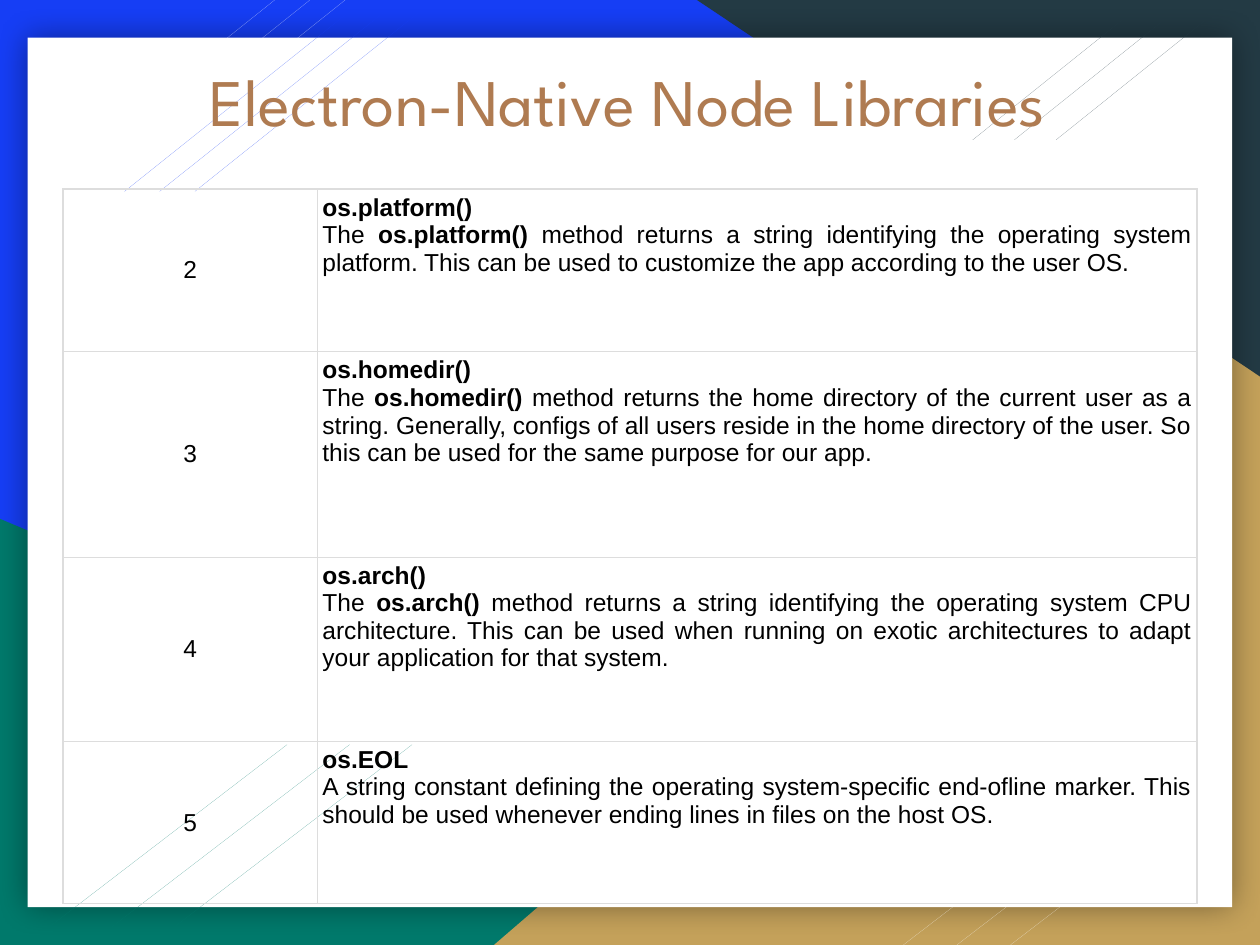
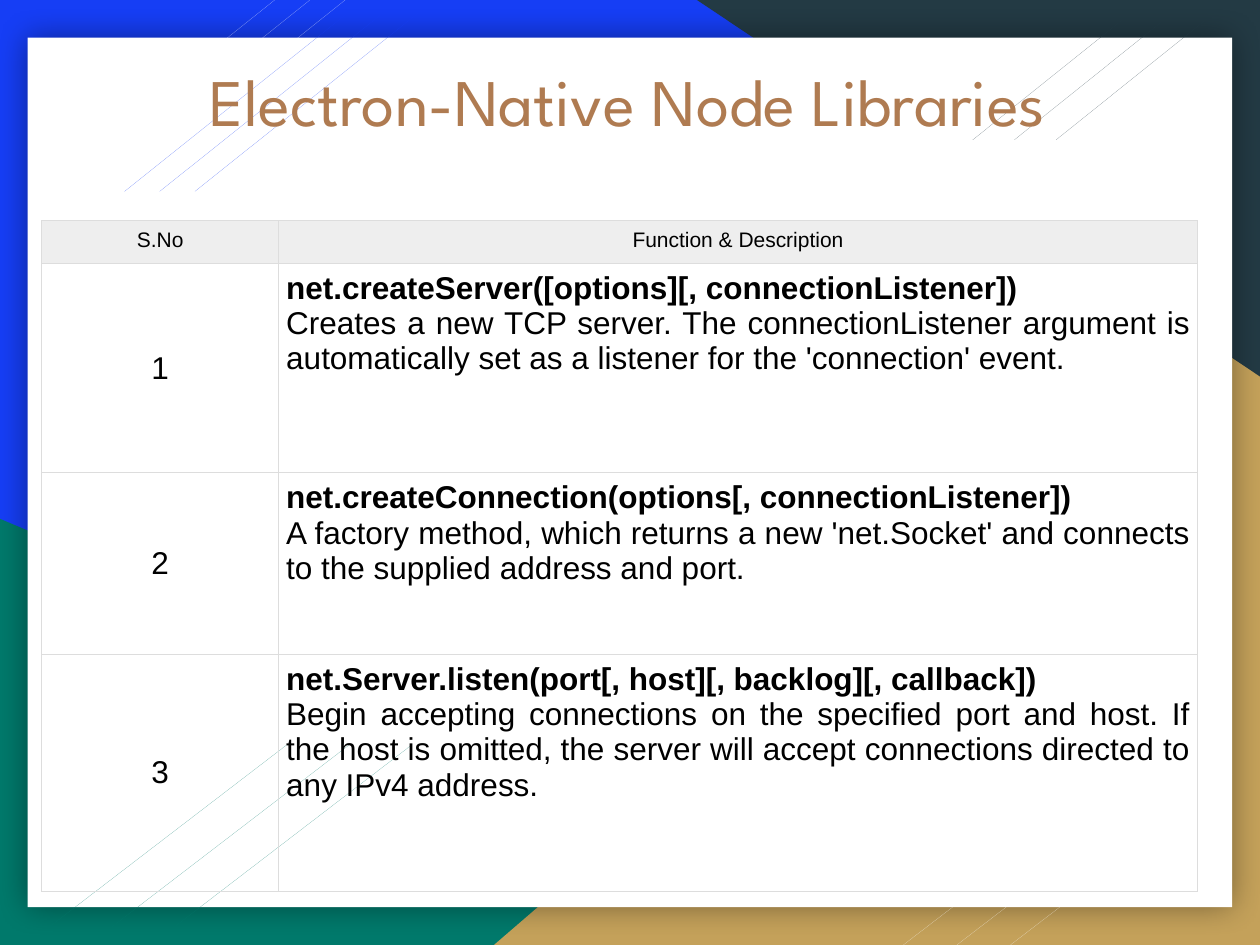
import pptx
import pptx.util
import pptx.dml.color
import pptx.enum.shapes
import pptx.enum.text
import pptx.oxml
import pptx.oxml.ns

Cm = pptx.util.Cm
Pt = pptx.util.Pt
RGBColor = pptx.dml.color.RGBColor
SHAPE = pptx.enum.shapes.MSO_SHAPE
ALIGN = pptx.enum.text.PP_ALIGN
ANCHOR = pptx.enum.text.MSO_ANCHOR

COLORS = {
    "blue": "163EF5", "green": "00796B", "gold": "C4A15A", "slate": "233A44",
    "white": "FFFFFF", "title": "AF7B51", "text": "000000",
    "border": "DDDDDD", "header": "EEEEEE",
}
TITLE = " Electron-Native Node Libraries"

# preset, left, top, width, height, colour, rotation, flipped
BACKDROP = [
    (SHAPE.RIGHT_TRIANGLE, 0, 10.46, 20.47, 8.59, "green", 0, False),
    (SHAPE.RIGHT_TRIANGLE, 9.96, 5.74, 15.44, 13.31, "gold", 0, True),
    (SHAPE.RIGHT_TRIANGLE, 14.05, 0, 11.35, 7.59, "slate", 180, False),
    (SHAPE.RECTANGLE, 0.56, 0.76, 24.28, 17.53, "white", 0, False),
]
# Each hatch is three fully slanted parallelograms:
# left, step, top, width, height, colour
HATCHES = [
    (0.71, 0.71, 0, 4.83, 3.86, "white"),
    (2.51, 0.71, 0, 4.83, 3.86, "blue"),
    (19.61, 0.84, 0.03, 3.48, 2.79, "slate"),
    (18.21, 1.08, 15.62, 4.47, 3.43, "white"),
    (0.56, 1.26, 15.01, 5.23, 4.01, "green"),
]
for left, step, top, width, height, color in HATCHES:
    for index in (2, 1, 0):
        BACKDROP.append((SHAPE.PARALLELOGRAM, left + index * step, top,
                         width, height, color, 0, False))

PAGE_SHADOW = (
    '<a:effectLst %s><a:outerShdw blurRad="228600" dist="0" dir="0" algn="ctr" rotWithShape="0">'
    '<a:srgbClr val="000000"><a:alpha val="40000"/></a:srgbClr></a:outerShdw></a:effectLst>'
    % pptx.oxml.ns.nsdecls("a"))

TABLES = [
    {
        "left": 1.27, "top": 3.81, "margin": 0.1, "size": 14,
        "columns": [5.13, 17.73], "heights": [3.28, 4.14, 3.71, 3.28],
        "header": None,
        "functions": [
            ("2", "os.platform()",
             "The os.platform() method returns a string identifying the operating system "
             "platform. This can be used to customize the app according to the user OS."),
            ("3", "os.homedir()",
             "The os.homedir() method returns the home directory of the current user as a "
             "string. Generally, configs of all users reside in the home directory of the user. "
             "So this can be used for the same purpose for our app."),
            ("4", "os.arch()",
             "The os.arch() method returns a string identifying the operating system CPU "
             "architecture. This can be used when running on exotic architectures to adapt "
             "your application for that system."),
            ("5", "os.EOL",
             "A string constant defining the operating system-specific end-ofline marker. This "
             "should be used whenever ending lines in files on the host OS."),
        ],
    },
    {
        "left": 0.84, "top": 4.45, "margin": 0.15, "size": 18,
        "columns": [4.78, 18.52], "heights": [0.86, 4.22, 3.66, 4.78],
        "header": ("S.No", "Function & Description"),
        "functions": [
            ("1", "net.createServer([options][, connectionListener])",
             "Creates a new TCP server. The connectionListener argument is "
             "automatically set as a listener for the 'connection' event."),
            ("2", "net.createConnection(options[, connectionListener])",
             "A factory method, which returns a new 'net.Socket' and connects "
             "to the supplied address and port."),
            ("3", "net.Server.listen(port[, host][, backlog][, callback])",
             "Begin accepting connections on the specified port and host. If "
             "the host is omitted, the server will accept connections directed to "
             "any IPv4 address."),
        ],
    },
]


def add_run(paragraph, text, size, bold=False, font="Arial", color="text"):
    run = paragraph.add_run()
    run.text = text
    run.font.name = font
    run.font.size = Pt(size)
    run.font.bold = bold
    run.font.color.rgb = RGBColor.from_string(COLORS[color])


def style_cell(cell, margin, fill=None):
    """Set margins, thin borders on all sides, and the fill."""
    cell.margin_left = cell.margin_right = Cm(margin)
    cell.margin_top = cell.margin_bottom = Cm(margin)
    properties = cell._tc.get_or_add_tcPr()
    for side in ("lnL", "lnR", "lnT", "lnB"):
        properties.append(pptx.oxml.parse_xml(
            '<a:%s %s w="9525"><a:solidFill><a:srgbClr val="%s"/></a:solidFill></a:%s>'
            % (side, pptx.oxml.ns.nsdecls("a"), COLORS["border"], side)))
    if fill:
        cell.fill.solid()
        cell.fill.fore_color.rgb = RGBColor.from_string(COLORS[fill])
    else:
        cell.fill.background()


presentation = pptx.Presentation()
presentation.slide_width = Cm(25.4)
presentation.slide_height = Cm(19.05)

for content in TABLES:
    slide = presentation.slides.add_slide(presentation.slide_layouts[6])
    slide.background.fill.solid()
    slide.background.fill.fore_color.rgb = RGBColor.from_string(COLORS["blue"])

    for preset, left, top, width, height, color, rotation, flipped in BACKDROP:
        shape = slide.shapes.add_shape(preset, Cm(left), Cm(top), Cm(width), Cm(height))
        shape.fill.solid()
        shape.fill.fore_color.rgb = RGBColor.from_string(COLORS[color])
        shape.line.fill.background()
        shape.rotation = rotation
        if flipped:
            shape.element.spPr.xfrm.set("flipH", "1")
        if preset == SHAPE.PARALLELOGRAM:
            shape.adjustments[0] = 1.58
        if preset == SHAPE.RECTANGLE:
            shape.element.spPr.append(pptx.oxml.parse_xml(PAGE_SHADOW))
        else:
            shape.shadow.inherit = False

    title = slide.shapes.add_textbox(Cm(1.7), Cm(0.84), Cm(21.59), Cm(2.34))
    title.text_frame.word_wrap = True
    title.text_frame.vertical_anchor = ANCHOR.MIDDLE
    paragraph = title.text_frame.paragraphs[0]
    paragraph.alignment = ALIGN.CENTER
    add_run(paragraph, TITLE, 38, font="League Spartan", color="title")

    columns, heights = content["columns"], content["heights"]
    table = slide.shapes.add_table(
        len(heights), len(columns), Cm(content["left"]), Cm(content["top"]),
        Cm(sum(columns)), Cm(sum(heights))).table
    table.first_row = table.horz_banding = False
    for column, width in zip(table.columns, columns):
        column.width = Cm(width)
    for row, height in zip(table.rows, heights):
        row.height = Cm(height)

    first_function_row = 0
    if content["header"]:
        first_function_row = 1
        for cell, label in zip(table.rows[0].cells, content["header"]):
            style_cell(cell, content["margin"], "header")
            paragraph = cell.text_frame.paragraphs[0]
            paragraph.alignment = ALIGN.CENTER
            add_run(paragraph, label, 12)

    size = content["size"]
    for index, (number, name, description) in enumerate(content["functions"], first_function_row):
        number_cell, description_cell = table.rows[index].cells
        style_cell(number_cell, content["margin"])
        style_cell(description_cell, content["margin"])
        number_cell.vertical_anchor = ANCHOR.MIDDLE
        paragraph = number_cell.text_frame.paragraphs[0]
        paragraph.alignment = ALIGN.CENTER
        add_run(paragraph, number, size)

        heading = description_cell.text_frame.paragraphs[0]
        heading.alignment = ALIGN.JUSTIFY
        add_run(heading, name, size, bold=True)
        body = description_cell.text_frame.add_paragraph()
        body.alignment = ALIGN.JUSTIFY
        # The function's own name is bold wherever the description repeats it.
        before, repeated_name, after = description.partition(name)
        for text, bold in ((before, False), (repeated_name, True), (after, False)):
            if text:
                add_run(body, text, size, bold)

presentation.save("out.pptx")
